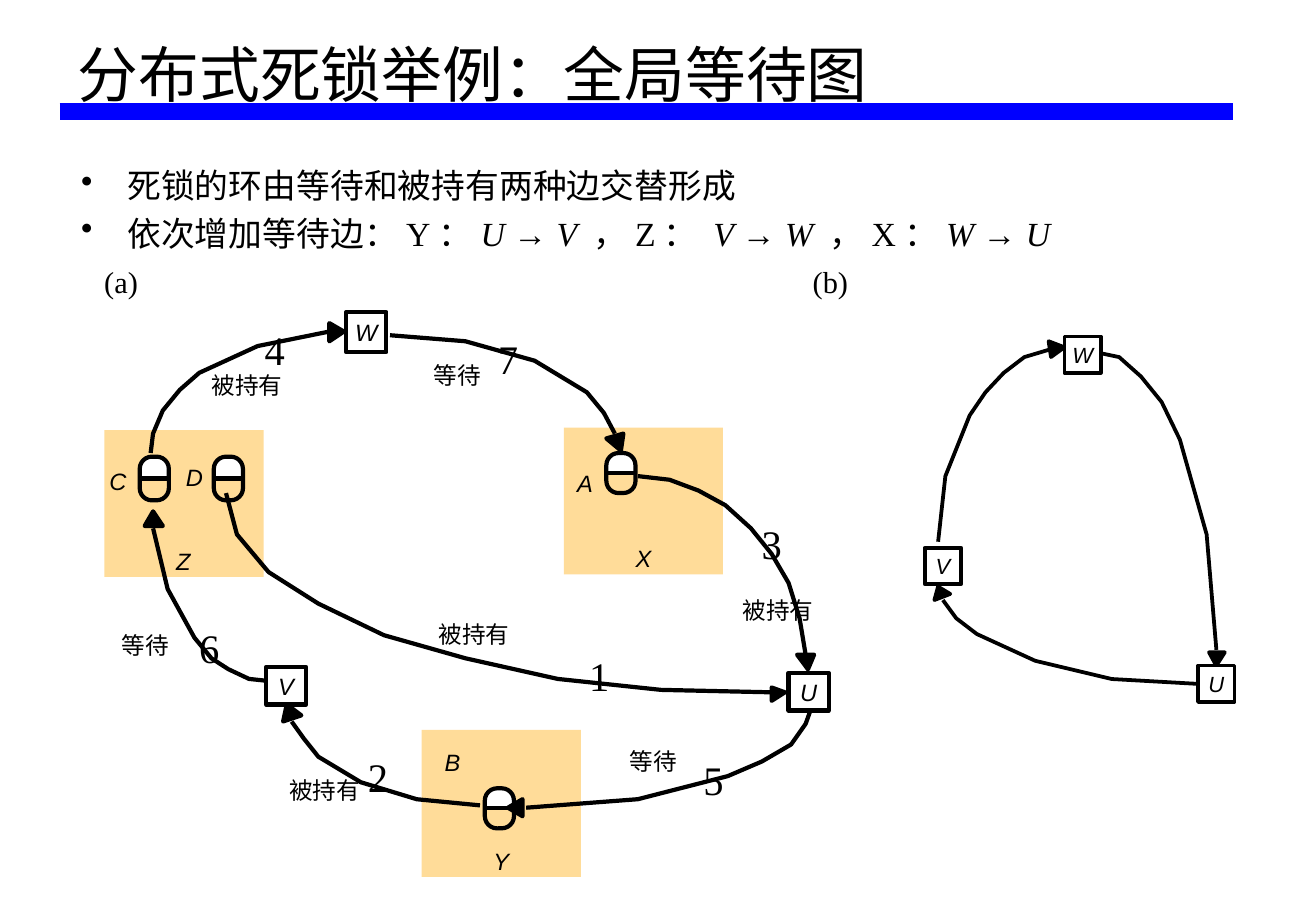
from dataclasses import dataclass

from lxml import etree
from pptx import Presentation
from pptx.dml.color import RGBColor
from pptx.enum.shapes import MSO_CONNECTOR, MSO_SHAPE
from pptx.enum.text import MSO_ANCHOR, MSO_AUTO_SIZE, PP_ALIGN
from pptx.oxml.ns import qn
from pptx.util import Inches, Pt

RECT, PILL = MSO_SHAPE.RECTANGLE, MSO_SHAPE.ROUNDED_RECTANGLE
STRAIGHT = MSO_CONNECTOR.STRAIGHT
LEFT, CENTER = PP_ALIGN.LEFT, PP_ALIGN.CENTER
TOP, MIDDLE, BOTTOM = MSO_ANCHOR.TOP, MSO_ANCHOR.MIDDLE, MSO_ANCHOR.BOTTOM
LEFT_SITE, RIGHT_SITE = 1, 3


@dataclass(frozen=True)
class Theme:
    ink: RGBColor = RGBColor(0, 0, 0)
    paper: RGBColor = RGBColor(255, 255, 255)
    rule: RGBColor = RGBColor(0, 0, 255)
    site: RGBColor = RGBColor(0xFF, 0xDC, 0x99)
    serif: str = "Times New Roman"
    sans: str = "Arial"
    title: float = 36
    step: float = 24
    body: float = 20
    caption: float = 18
    label: float = 14
    small_label: float = 13
    line: float = 2.5
    thin_line: float = 2.25
    rule_width: float = 10


THEME = Theme()

BULLETS = [
    ["死锁的环由等待和被持有两种边交替形成"],
    ["依次增加等待边：Y：", "U ", "→ ", "V ", "，Z： ", "V ", "→ ", "W ",
     "，X：", "W ", "→ ", "U"],
]
CAPTIONS = [("(a)", 0.76), ("(b)", 6.59)]
SITES = [(0.86, 3.54), (3.47, 6.01), (4.64, 3.52)]
RESOURCES = [(1.15, 3.76, 0.36), (1.76, 3.76, 0.36), (4.99, 3.73, 0.33), (3.99, 6.49, 0.33)]

# Each edge: its curve, then its arrowhead.
GLOBAL_EDGES = [
    ([(1.24, 3.73), (1.26, 3.57), (1.34, 3.38), (1.48, 3.21), (1.64, 3.07), (2.12, 2.85),
      (2.71, 2.73)], [(2.71, 2.66), (2.83, 2.73), (2.71, 2.81)]),
    ([(6.68, 5.82), (6.63, 5.96), (6.51, 6.13), (6.27, 6.27), (5.99, 6.39), (5.25, 6.58),
      (4.33, 6.65)], [(4.3, 6.72), (4.18, 6.65), (4.3, 6.58)]),
    ([(3.95, 6.63), (3.43, 6.58), (2.97, 6.44), (2.62, 6.23), (2.5, 6.08), (2.4, 5.94)],
     [(2.33, 5.94), (2.36, 5.8), (2.48, 5.89)]),
    ([(3.21, 2.76), (3.83, 2.81), (4.4, 2.97), (4.83, 3.23), (4.97, 3.4), (5.06, 3.57)],
     [(5.13, 3.57), (5.11, 3.71), (4.99, 3.61)]),
    ([(5.25, 3.92), (5.51, 3.95), (5.75, 4.04), (5.97, 4.16), (6.18, 4.35), (6.35, 4.56),
      (6.49, 4.8), (6.58, 5.09), (6.63, 5.39)], [(6.7, 5.39), (6.65, 5.51), (6.56, 5.39)]),
    ([(2.24, 5.61), (2.05, 5.59), (1.88, 5.51), (1.74, 5.42), (1.6, 5.25), (1.38, 4.85),
      (1.26, 4.35)], [(1.19, 4.33), (1.26, 4.21), (1.34, 4.33)]),
    ([(1.86, 4.06), (1.95, 4.4), (2.21, 4.71), (2.62, 4.97), (3.16, 5.23), (3.83, 5.42),
      (4.59, 5.59), (5.44, 5.68), (6.35, 5.7)], [(6.35, 5.66), (6.46, 5.7), (6.35, 5.77)]),
]
CYCLE_EDGES = [
    ([(9.02, 2.9), (9.21, 2.94), (9.39, 3.1), (9.56, 3.31), (9.71, 3.62), (9.93, 4.4),
      (10.01, 5.35)], [(10.08, 5.37), (10.01, 5.48), (9.95, 5.37)]),
    ([(7.72, 4.46), (7.78, 3.92), (7.98, 3.42), (8.11, 3.23), (8.26, 3.07), (8.43, 2.94),
      (8.63, 2.88)], [(8.63, 2.81), (8.76, 2.86), (8.65, 2.94)]),
    ([(9.86, 5.63), (9.15, 5.59), (8.52, 5.44), (8.04, 5.22), (7.87, 5.09), (7.76, 4.94)],
     [(7.69, 4.94), (7.72, 4.83), (7.82, 4.89)]),
]
GLOBAL_NODES = [("W", 2.85, 2.57, 0.33, 0.33), ("U", 6.49, 5.54, 0.33, 0.31),
                ("V", 2.19, 5.49, 0.33, 0.31)]
CYCLE_NODES = [("W", 8.76, 2.77, 0.3, 0.3), ("V", 7.61, 4.51, 0.3, 0.3),
               ("U", 9.86, 5.48, 0.3, 0.3)]
NAMES = [("A", 4.75, 3.86), ("B", 3.66, 6.16), ("C", 0.9, 3.84), ("D", 1.53, 3.81),
         ("X", 5.23, 4.48), ("Y", 4.06, 6.97), ("Z", 1.45, 4.5)]
EDGE_LABELS = [("等待", 3.57, 2.97), ("等待", 1, 5.19), ("等待", 5.18, 6.15),
               ("被持有", 1.74, 3.05), ("被持有", 6.11, 4.91), ("被持有", 2.38, 6.39),
               ("被持有", 3.61, 5.1)]
STEPS = [(4.75, 5.31), (2.93, 6.14), (6.17, 4.22), (2.08, 2.63), (5.69, 6.17),
         (1.54, 5.08), (4, 2.7)]


def inches(*lengths):
    return [Inches(length) for length in lengths]


def apply(target, values):
    for name, value in values.items():
        setattr(target, name, value)


def style_font(font, size, name=THEME.serif, italic=False):
    apply(font, {"size": Pt(size), "name": name, "italic": italic, "bold": False})
    font.color.rgb = THEME.ink


def set_frame(frame, inset=None, anchor=TOP):
    apply(frame, {"word_wrap": True, "auto_size": MSO_AUTO_SIZE.NONE,
                  "vertical_anchor": anchor})
    if inset is not None:
        sides = ("left", "top", "right", "bottom")
        apply(frame, {f"margin_{side}": Inches(inset) for side in sides})


def paint(shape, fill=None, line=None, width=THEME.line):
    shape.shadow.inherit = False
    if fill is None:
        shape.fill.background()
    else:
        shape.fill.solid()
        shape.fill.fore_color.rgb = fill
    if line is None:
        shape.line.fill.background()
    else:
        shape.line.color.rgb = line
        shape.line.width = Pt(width)


def add_block(slide, kind, box, **look):
    block = slide.shapes.add_shape(kind, *inches(*box))
    paint(block, **look)
    return block


def add_line(slide, start, end, color, width):
    line = slide.shapes.add_connector(STRAIGHT, *inches(*start, *end))
    line.line.color.rgb = color
    line.line.width = Pt(width)
    etree.SubElement(line._element.spPr, qn("a:effectLst"))
    return line


def add_label(slide, text, box, size, inset=None, **font):
    frame = slide.shapes.add_textbox(*inches(*box)).text_frame
    set_frame(frame, inset)
    frame.text = text
    style_font(frame.paragraphs[0].runs[0].font, size, **font)


def add_title(slide, text):
    title = slide.shapes.title
    apply(title, dict(zip(("left", "top", "width", "height"), inches(0.54, 0, 9.69, 0.96))))
    set_frame(title.text_frame, anchor=BOTTOM)
    title.text_frame.text = text
    paragraph = title.text_frame.paragraphs[0]
    apply(paragraph, {"alignment": LEFT, "line_spacing": 0.9})
    style_font(paragraph.runs[0].font, THEME.title)


def add_bullets(slide):
    """Process names are italic and the arrows between them sans serif."""
    frame = slide.shapes.add_textbox(*inches(0.57, 1.31, 9.69, 0.9)).text_frame
    set_frame(frame)
    for index, parts in enumerate(BULLETS):
        paragraph = frame.add_paragraph() if index else frame.paragraphs[0]
        properties = paragraph._p.get_or_add_pPr()
        properties.set("marL", str(Inches(0.38)))
        properties.set("indent", str(-Inches(0.38)))
        etree.SubElement(properties, qn("a:buChar")).set("char", "•")
        if index:
            paragraph.space_before = Pt(THEME.body * 0.2)
        for part in parts:
            run = paragraph.add_run()
            run.text = part
            style_font(run.font, THEME.body, THEME.sans if "→" in part else THEME.serif,
                       part.strip() in ("U", "V", "W"))


def add_resource(slide, left, top, height):
    """A pill with a white upper half and a line across its middle."""
    width, middle = 0.24, top + height / 2
    box = (left, top, width, height)
    add_block(slide, PILL, box, fill=THEME.paper).adjustments[0] = 0.42
    add_block(slide, RECT, (left, middle, width, height / 2), fill=THEME.site)
    outline = add_block(slide, PILL, box, line=THEME.ink)
    outline.adjustments[0] = 0.42
    divider = add_line(slide, (left, middle), (left + width, middle), THEME.ink, THEME.line)
    divider.begin_connect(outline, LEFT_SITE)
    divider.end_connect(outline, RIGHT_SITE)


def add_path(slide, points, closed, width):
    start, *rest = [inches(*point) for point in points]
    builder = slide.shapes.build_freeform(*start)
    builder.add_line_segments(rest, close=closed)
    paint(builder.convert_to_shape(), THEME.ink if closed else None, THEME.ink, width)


def add_graph(slide, edges, nodes, width, size):
    for curve, head in edges:
        add_path(slide, head, True, width)
        add_path(slide, curve, False, width)
    for name, *box in nodes:
        node = add_block(slide, RECT, box, fill=THEME.paper, line=THEME.ink, width=width)
        set_frame(node.text_frame, 0, MIDDLE)
        node.text_frame.text = name
        paragraph = node.text_frame.paragraphs[0]
        paragraph.alignment = CENTER
        style_font(paragraph.runs[0].font, size, THEME.sans, True)


def main():
    deck = Presentation()
    deck.slide_width, deck.slide_height = inches(10.83, 7.5)
    slide = deck.slides.add_slide(deck.slide_layouts[5])
    add_line(slide, (0.49, 0.92), (10.15, 0.92), THEME.rule, THEME.rule_width)
    add_title(slide, "分布式死锁举例：全局等待图")
    add_bullets(slide)
    for text, left in CAPTIONS:
        add_label(slide, text, (left, 2.12, 0.6, 0.4), THEME.caption)
    for left, top in SITES:
        add_block(slide, RECT, (left, top, 1.31, 1.21), fill=THEME.site)
    for resource in RESOURCES:
        add_resource(slide, *resource)
    add_graph(slide, GLOBAL_EDGES, GLOBAL_NODES, THEME.line, THEME.label)
    add_graph(slide, CYCLE_EDGES, CYCLE_NODES, THEME.thin_line, THEME.small_label)
    for text, left, top in NAMES + EDGE_LABELS:
        add_label(slide, text, (left, top, 0.2 * len(text) + 0.02, 0.24), THEME.label,
                  inset=0, name=THEME.sans, italic=len(text) == 1)
    for number, (left, top) in enumerate(STEPS, 1):
        add_label(slide, str(number), (left, top, 0.4, 0.5), THEME.step)
    deck.save("out.pptx")


if __name__ == "__main__":
    main()
